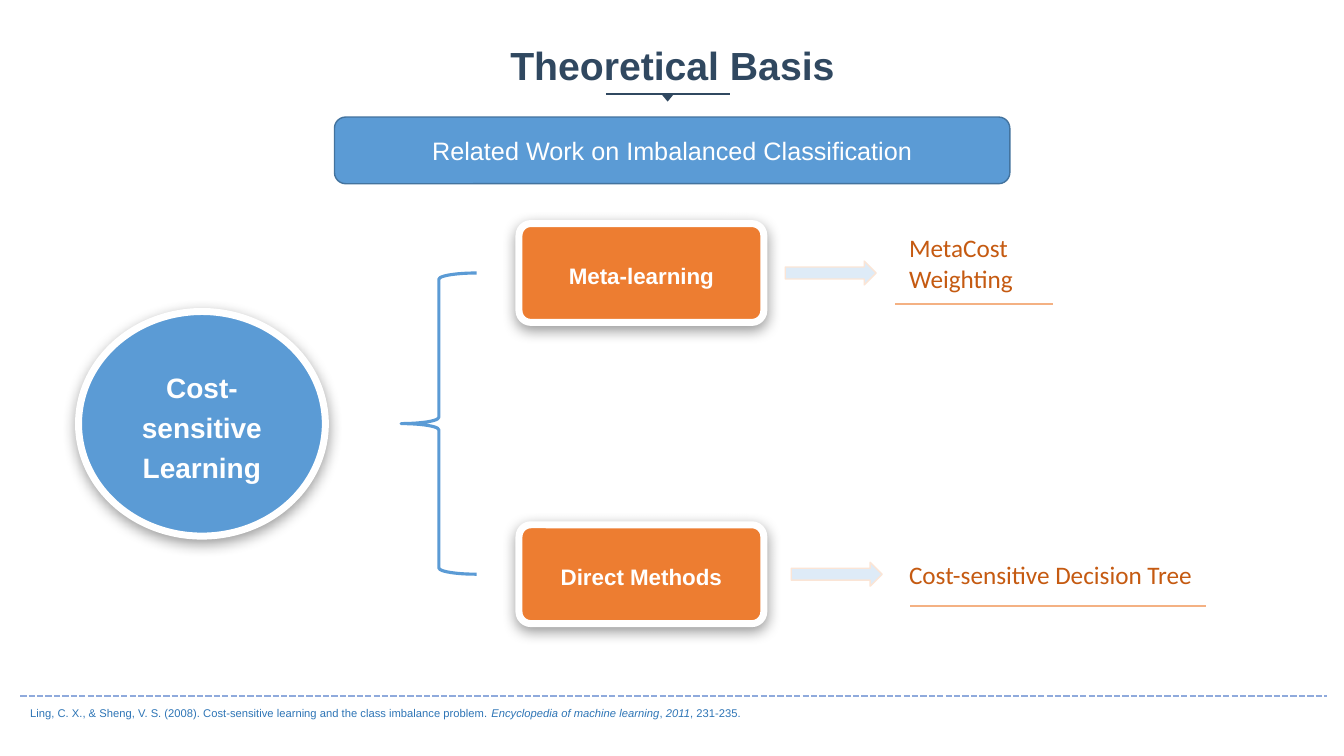
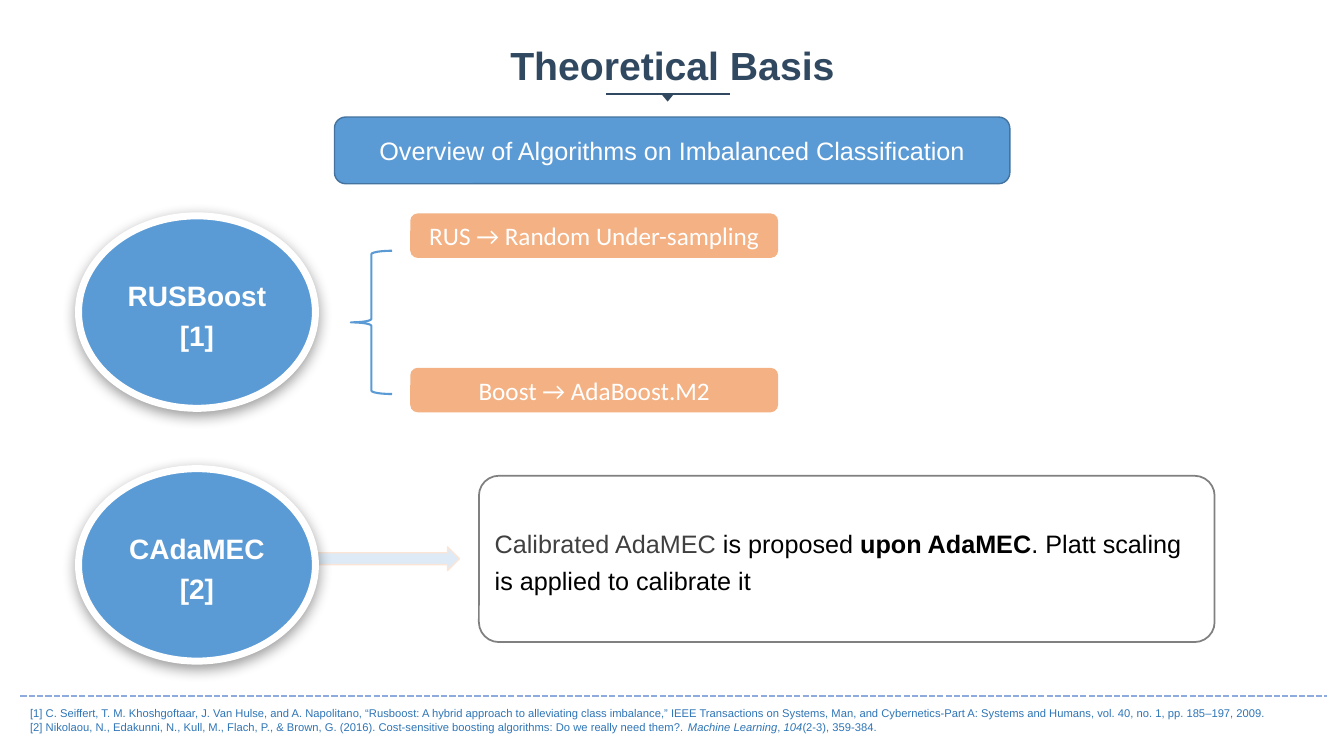
from dataclasses import dataclass

from lxml import etree
from pptx import Presentation
from pptx.dml.color import RGBColor
from pptx.enum.dml import MSO_LINE
from pptx.enum.shapes import MSO_CONNECTOR, MSO_SHAPE
from pptx.enum.text import MSO_ANCHOR, MSO_AUTO_SIZE, PP_ALIGN
from pptx.oxml.ns import qn
from pptx.util import Cm, Pt

LEFT, CENTER = PP_ALIGN.LEFT, PP_ALIGN.CENTER
TOP, MIDDLE = MSO_ANCHOR.TOP, MSO_ANCHOR.MIDDLE
ROUND_RECT, OVAL = MSO_SHAPE.ROUNDED_RECTANGLE, MSO_SHAPE.OVAL
TRIANGLE = MSO_SHAPE.ISOSCELES_TRIANGLE
BRACE, ARROW = MSO_SHAPE.LEFT_BRACE, MSO_SHAPE.RIGHT_ARROW
STRAIGHT, DASHED = MSO_CONNECTOR.STRAIGHT, MSO_LINE.SQUARE_DOT
TITLE_ONLY = 5


@dataclass(frozen=True)
class Theme:
    navy: str = "304860"
    blue: str = "5B9BD5"
    blue_edge: str = "43739E"
    pale_blue: str = "DEEBF7"
    dash_blue: str = "8FAADC"
    source_blue: str = "2E75B6"
    orange: str = "ED7D31"
    light_orange: str = "F4B183"
    pale_orange: str = "FBE5D6"
    rust: str = "C55A11"
    white: str = "FFFFFF"
    black: str = "000000"
    dark_grey: str = "404040"
    grey: str = "808080"
    sans: str = "Arial"
    label_font: str = "Calibri"
    title_size: int = 28
    topic_size: int = 20
    body_size: int = 18
    method_size: int = 16
    source_size: int = 8


THEME = Theme()


def rgb(color):
    return RGBColor.from_string(color)


def put_text(sp, paragraphs, size=THEME.body_size, color=THEME.white, font=THEME.sans,
             bold=False, italic=False, align=CENTER, anchor=MIDDLE, spacing=None, wrap=True):
    """Fill a shape; a paragraph is a string or a list of (text, overrides) runs."""
    tf = sp.text_frame
    tf.word_wrap = wrap
    tf.auto_size = MSO_AUTO_SIZE.NONE
    tf.vertical_anchor = anchor
    base = dict(size=size, color=color, font=font, bold=bold, italic=italic)
    for i, runs in enumerate(paragraphs):
        p = tf.add_paragraph() if i else tf.paragraphs[0]
        p.alignment = align
        if spacing:
            p.line_spacing = spacing
        for text, overrides in [(runs, {})] if isinstance(runs, str) else runs:
            look = base | overrides
            r = p.add_run()
            r.text = text
            r.font.size = Pt(look["size"])
            r.font.name = look["font"]
            r.font.bold = look["bold"]
            r.font.italic = look["italic"]
            r.font.color.rgb = rgb(look["color"])


def add_box(s, kind, x, y, w, h, fill=None, line=None, width=1, corner=None):
    sp = s.shapes.add_shape(kind, Cm(x), Cm(y), Cm(w), Cm(h))
    sp.shadow.inherit = False
    if fill:
        sp.fill.solid()
        sp.fill.fore_color.rgb = rgb(fill)
    else:
        sp.fill.background()
    if line:
        sp.line.color.rgb = rgb(line)
        sp.line.width = Pt(width)
    else:
        sp.line.fill.background()
    if corner is not None:
        sp.adjustments[0] = corner
    return sp


def add_line(s, x1, x2, y, color, dash=None):
    line = s.shapes.add_connector(STRAIGHT, Cm(x1), Cm(y), Cm(x2), Cm(y))
    line.line.color.rgb = rgb(color)
    line.line.width = Pt(1.5)
    if dash:
        line.line.dash_style = dash
    etree.SubElement(line.element.spPr, qn("a:effectLst"))
    return line


def add_label(s, x, y, w, h, paragraphs, **look):
    sp = s.shapes.add_textbox(Cm(x), Cm(y), Cm(w), Cm(h))
    put_text(sp, paragraphs, align=LEFT, anchor=TOP, **look)


def add_soft_shadow(sp):
    effects = sp.element.spPr.find(qn("a:effectLst"))
    shadow = etree.SubElement(effects, qn("a:outerShdw"), blurRad=str(Pt(10)),
                              dist=str(Pt(3)), dir="5400000", rotWithShape="0")
    color = etree.SubElement(shadow, qn("a:srgbClr"), val=THEME.black)
    etree.SubElement(color, qn("a:alpha"), val="40000")


def add_raised(s, kind, x, y, w, h, text, fill, size, corner=None):
    """Add a white-rimmed shape with a soft shadow and bold text."""
    sp = add_box(s, kind, x, y, w, h, fill, THEME.white, 5, corner)
    add_soft_shadow(sp)
    put_text(sp, [text], size=size, bold=True, spacing=1.2)


def add_topic(s, x, y, w, h, text):
    add_raised(s, OVAL, x, y, w, h, text, THEME.blue, THEME.topic_size)


def add_brace(s, x, y, w, h, width):
    add_box(s, BRACE, x, y, w, h, line=THEME.blue, width=width)


def add_arrow(s, x, middle, w, h=0.6):
    add_box(s, ARROW, x, middle - h / 2, w, h, THEME.pale_blue, THEME.pale_orange)


def dress_layout(layout, s):
    """Place the title and move the shared rules, drawn on s, to the layout."""
    for ph in list(layout.placeholders):
        if ph.placeholder_format.idx:
            ph.element.getparent().remove(ph.element)
        else:
            ph.left, ph.top, ph.width, ph.height = Cm(12.55), Cm(0.91), Cm(8.79), Cm(1.45)
    pointer = add_box(s, TRIANGLE, 16.66, 2.36, 0.33, 0.2, THEME.navy)
    pointer.rotation = 180
    rules = [add_line(s, 15.27, 18.39, 2.36, THEME.navy),
             add_line(s, 0.51, 33.45, 17.53, THEME.dash_blue, DASHED)]
    for sp in [pointer, *rules]:
        layout.shapes.element.append(sp.element)


def add_frame(s, heading, sources):
    put_text(s.shapes.title, ["Theoretical Basis"], size=THEME.title_size,
             color=THEME.navy, bold=True, wrap=False)
    band = add_box(s, ROUND_RECT, 8.43, 2.95, 17.02, 1.68, THEME.blue, THEME.blue_edge)
    put_text(band, [heading])
    add_label(s, 0.51, 17.68, 32.9, 1.2, sources,
              size=THEME.source_size, color=THEME.source_blue)


def fill_related_work(s):
    italic = {"italic": True}
    add_frame(s, "Related Work on Imbalanced Classification", [[
        ("Ling, C. X., & Sheng, V. S. (2008). Cost-sensitive learning and the class "
         "imbalance problem. ", {}),
        ("Encyclopedia of machine learning", italic), (", ", {}),
        ("2011", italic), (", 231-235.", {})]])
    add_topic(s, 1.98, 7.85, 6.22, 5.66, "Cost-sensitive Learning")
    # method, row middle, arrow x, examples, text top, underline start, end, y
    rows = [
        ("Meta-learning", 6.88, 19.79, ["MetaCost", "Weighting"], 5.74, 22.56, 26.54, 7.65),
        ("Direct Methods", 14.47, 19.94, ["Cost-sensitive Decision Tree"],
         13.97, 22.94, 30.4, 15.27),
    ]
    first, last = rows[0][1], rows[-1][1]
    add_brace(s, 10.11, first, 1.9, last - first, 2.25)
    box_h = 2.49
    for method, middle, arrow_x, examples, top, start, end, under in rows:
        add_raised(s, ROUND_RECT, 13.08, middle - box_h / 2, 6.17, box_h, method,
                   THEME.orange, THEME.method_size, 0.12)
        add_arrow(s, arrow_x, middle, 2.29)
        add_label(s, 22.66, top, 8.2, 0.9 * len(examples), examples,
                  color=THEME.rust, font=THEME.label_font)
        add_line(s, start, end, under, THEME.light_orange)


def fill_algorithms(s):
    italic = {"italic": True}
    add_frame(s, "Overview of Algorithms on Imbalanced Classification", [
        "[1] C. Seiffert, T. M. Khoshgoftaar, J. Van Hulse, and A. Napolitano, “Rusboost: "
        "A hybrid approach to alleviating class imbalance,” IEEE Transactions on Systems, "
        "Man, and Cybernetics-Part A: Systems and Humans, vol. 40, no. 1, pp. 185–197, 2009.",
        [("[2] Nikolaou, N., Edakunni, N., Kull, M., Flach, P., & Brown, G. (2016). "
          "Cost-sensitive boosting algorithms: Do we really need them?. ", {}),
         ("Machine Learning", italic), (", ", {}),
         ("104", italic), ("(2-3), 359-384.", {})]])
    add_arrow(s, 7.11, 14.08, 4.47)
    for name, y in [("RUSBoost [1]", 5.44), ("CAdaMEC [2]", 11.81)]:
        add_topic(s, 1.98, y, 5.97, 4.85, name)
    add_brace(s, 8.84, 6.32, 1.04, 3.61, 1.5)
    for part, y in [("RUS → Random Under-sampling", 5.38), ("Boost → AdaBoost.M2", 9.27)]:
        pill = add_box(s, ROUND_RECT, 10.34, y, 9.27, 1.12, THEME.light_orange)
        put_text(pill, [part], font=THEME.label_font)
    note = add_box(s, ROUND_RECT, 12.07, 11.99, 18.54, 4.19,
                   line=THEME.grey, width=1.25, corner=0.12)
    put_text(note, [[("Calibrated AdaMEC ", {"color": THEME.dark_grey}),
                     ("is proposed ", {}), ("upon AdaMEC", {"bold": True}),
                     (". Platt scaling is applied to calibrate it", {})]],
             color=THEME.black, align=LEFT, spacing=1.2)


def main():
    prs = Presentation()
    prs.slide_width, prs.slide_height = Cm(33.87), Cm(19.05)
    layout = prs.slide_layouts[TITLE_ONLY]
    related_work, algorithms = [prs.slides.add_slide(layout) for _ in range(2)]
    dress_layout(layout, related_work)
    fill_related_work(related_work)
    fill_algorithms(algorithms)
    prs.save("out.pptx")


if __name__ == "__main__":
    main()
